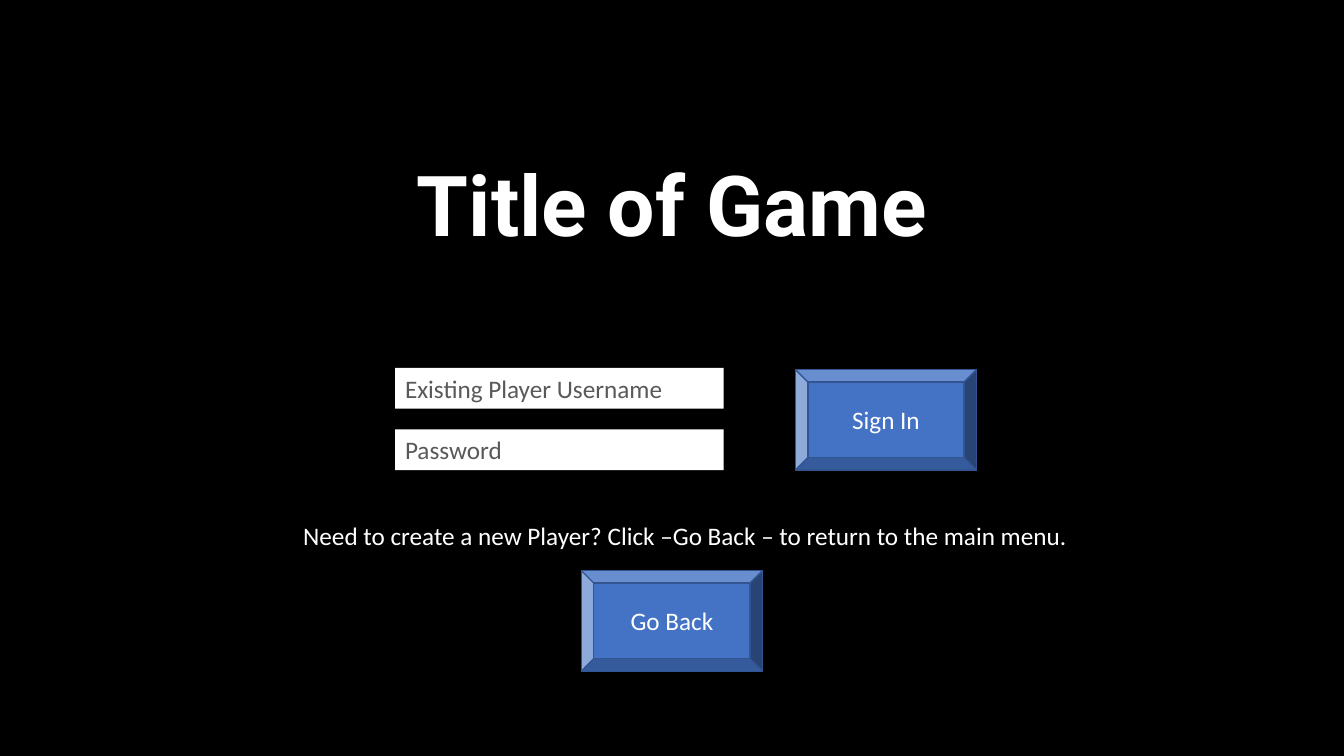
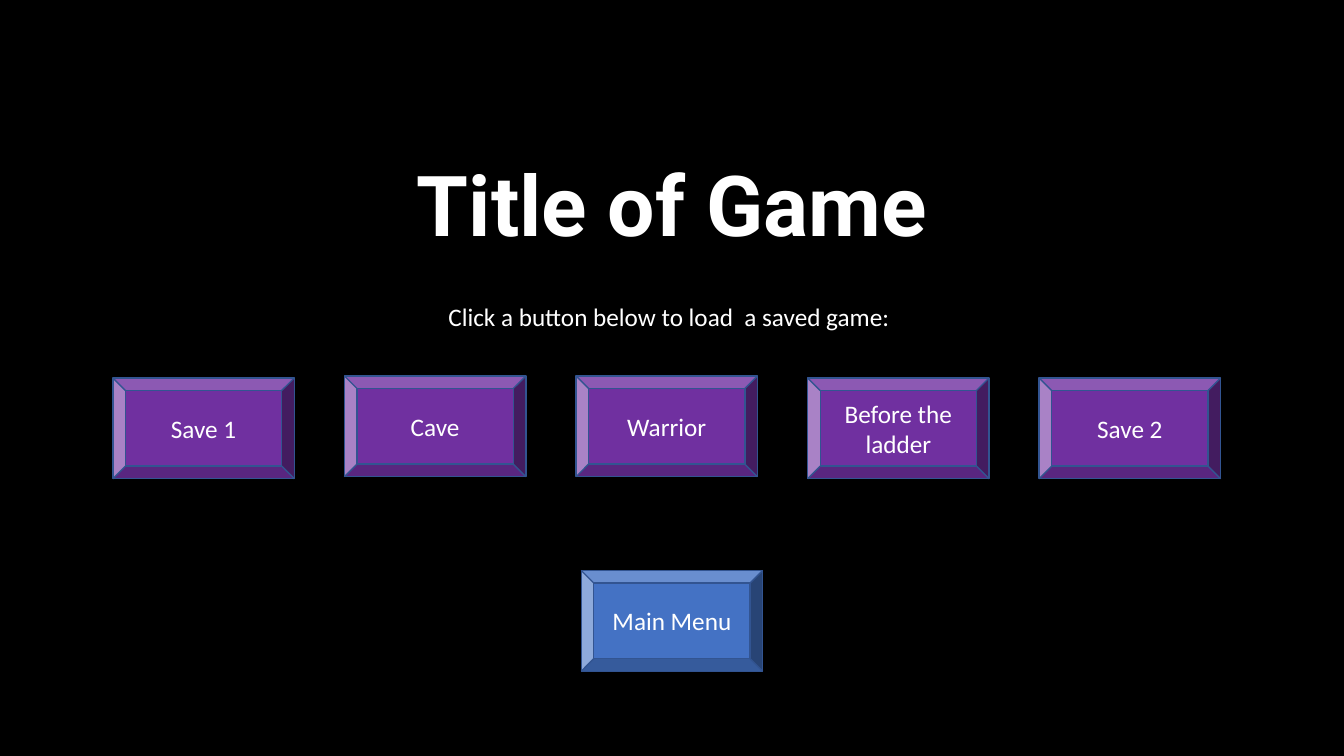
from dataclasses import dataclass

from pptx import Presentation
from pptx.dml.color import RGBColor
from pptx.enum.shapes import MSO_SHAPE
from pptx.enum.text import MSO_ANCHOR, MSO_AUTO_SIZE, PP_ALIGN
from pptx.slide import Slide
from pptx.text.text import TextFrame
from pptx.util import Pt

BLACK = RGBColor(0x00, 0x00, 0x00)
WHITE = RGBColor(0xFF, 0xFF, 0xFF)
GRAY = RGBColor(0x59, 0x59, 0x59)
BLUE = RGBColor(0x44, 0x72, 0xC4)
BLUE_EDGE = RGBColor(0x32, 0x54, 0x91)
PURPLE = RGBColor(0x70, 0x30, 0xA0)

BUTTON_WIDTH, BUTTON_HEIGHT = 129.6, 72
FIELD_LEFT, FIELD_WIDTH = 282.24, 234.72
LINE_HEIGHT = 29.08
SAVE_LEFT, SAVE_PITCH = 80.64, 165.42


@dataclass(frozen=True)
class Button:
    label: str
    left: float
    top: float
    fill: RGBColor = BLUE


@dataclass(frozen=True)
class Field:
    prompt: str
    top: float


@dataclass(frozen=True)
class Message:
    text: str
    left: float
    top: float
    width: float


def write(frame: TextFrame, text: str, *, size: float = 18, font: str = "Calibri",
          color: RGBColor = WHITE, bold: bool = False,
          align: PP_ALIGN = PP_ALIGN.LEFT, anchor: MSO_ANCHOR = MSO_ANCHOR.TOP,
          spacing: float = 1.0, wrap: bool = True,
          auto_size: MSO_AUTO_SIZE = MSO_AUTO_SIZE.NONE) -> None:
    frame.word_wrap = wrap
    frame.auto_size = auto_size
    frame.vertical_anchor = anchor
    paragraph = frame.paragraphs[0]
    paragraph.alignment = align
    paragraph.line_spacing = spacing
    run = paragraph.add_run()
    run.text = text
    run.font.size = Pt(size)
    run.font.name = font
    run.font.bold = bold
    run.font.color.rgb = color


def add_game_screen(presentation) -> Slide:
    screen = presentation.slides.add_slide(presentation.slide_layouts[0])
    subtitle = screen.placeholders[1].element
    subtitle.getparent().remove(subtitle)
    heading = screen.shapes.title
    heading.left, heading.top = Pt(120), Pt(105.12)
    heading.width, heading.height = Pt(720), Pt(80.64)
    write(heading.text_frame, "Title of Game", size=60, font="Roboto", bold=True,
          align=PP_ALIGN.CENTER, anchor=MSO_ANCHOR.BOTTOM, spacing=0.9)
    return screen


def draw_button(screen: Slide, button: Button) -> None:
    bevel = screen.shapes.add_shape(MSO_SHAPE.BEVEL, Pt(button.left), Pt(button.top),
                                    Pt(BUTTON_WIDTH), Pt(BUTTON_HEIGHT))
    bevel.shadow.inherit = False
    bevel.fill.solid()
    bevel.fill.fore_color.rgb = button.fill
    bevel.line.color.rgb = BLUE_EDGE
    bevel.line.width = Pt(1)
    write(bevel.text_frame, button.label, align=PP_ALIGN.CENTER, anchor=MSO_ANCHOR.MIDDLE)


def draw_field(screen: Slide, field: Field) -> None:
    entry = screen.shapes.add_textbox(Pt(FIELD_LEFT), Pt(field.top),
                                      Pt(FIELD_WIDTH), Pt(LINE_HEIGHT))
    entry.fill.solid()
    entry.fill.fore_color.rgb = WHITE
    write(entry.text_frame, field.prompt, color=GRAY,
          auto_size=MSO_AUTO_SIZE.SHAPE_TO_FIT_TEXT)


def draw_message(screen: Slide, message: Message) -> None:
    caption = screen.shapes.add_textbox(Pt(message.left), Pt(message.top),
                                        Pt(message.width), Pt(LINE_HEIGHT))
    write(caption.text_frame, message.text, wrap=False,
          auto_size=MSO_AUTO_SIZE.SHAPE_TO_FIT_TEXT)


def bottom_button(label: str) -> Button:
    return Button(label, (960 - BUTTON_WIDTH) / 2, 407.52)


def build_sign_in(presentation) -> None:
    screen = add_game_screen(presentation)
    for field in (Field("Existing Player Username", 262.8), Field("Password", 306.72)):
        draw_field(screen, field)
    draw_message(screen, Message(
        "Need to create a new Player? Click –Go Back – to return to the main menu.",
        209.52, 367.92, 562.32))
    for button in (Button("Sign In", 568.08, 263.88), bottom_button("Go Back")):
        draw_button(screen, button)


def build_saved_games(presentation) -> None:
    screen = add_game_screen(presentation)
    draw_message(screen, Message("Click a button below to load  a saved game:",
                                 313.2, 211.68, 334.08))
    saves = (("Save 1", 270), ("Cave", 268.56), ("Warrior", 268.56),
             ("Before the ladder", 270), ("Save 2", 270))
    for column, (label, top) in enumerate(saves):
        draw_button(screen, Button(label, SAVE_LEFT + column * SAVE_PITCH, top, PURPLE))
    draw_button(screen, bottom_button("Main Menu"))


def main() -> None:
    presentation = Presentation()
    presentation.slide_width, presentation.slide_height = Pt(960), Pt(540)
    backdrop = presentation.slide_master.background.fill
    backdrop.solid()
    backdrop.fore_color.rgb = BLACK
    build_sign_in(presentation)
    build_saved_games(presentation)
    presentation.save("out.pptx")


main()
